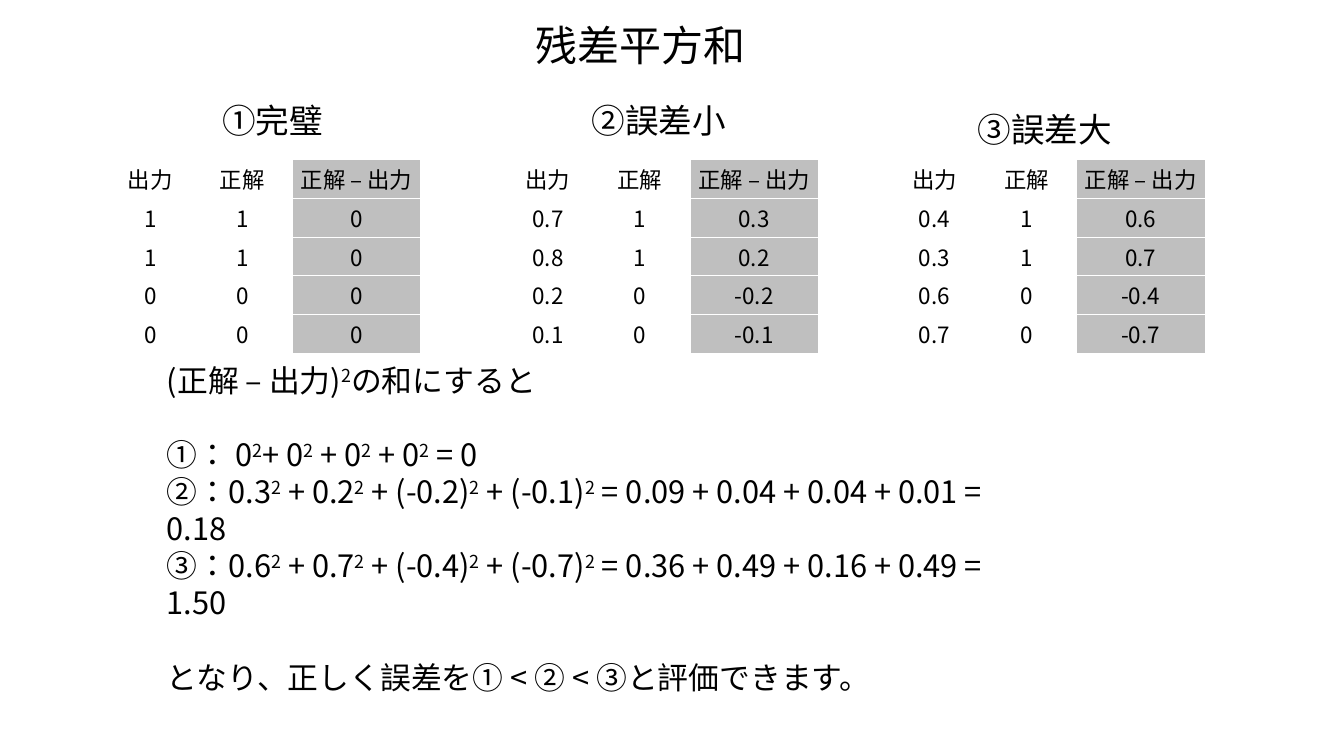
from pptx import Presentation
from pptx.dml.color import RGBColor
from pptx.enum.text import MSO_ANCHOR, MSO_AUTO_SIZE, PP_ALIGN
from pptx.oxml.ns import qn
from pptx.util import Inches, Pt

FONT = "Noto Sans CJK JP"
BLACK = RGBColor(0, 0, 0)
WHITE = RGBColor(255, 255, 255)
GREY = RGBColor(0xBF, 0xBF, 0xBF)

TITLE = "残差平方和"
HEADER = ("出力", "正解", "正解 – 出力")
ANSWERS = ("1", "1", "0", "0")
# heading, heading left and top, table left, outputs, differences
CASES = [
    ("①完璧", 4.35, 1.97, 2.15, ("1", "1", "0", "0"), ("0", "0", "0", "0")),
    ("②誤差小", 11.68, 1.97, 10.04,
     ("0.7", "0.8", "0.2", "0.1"), ("0.3", "0.2", "-0.2", "-0.1")),
    ("③誤差大", 19.34, 2.15, 17.71,
     ("0.4", "0.3", "0.6", "0.7"), ("0.6", "0.7", "-0.4", "-0.7")),
]
# text, blank lines above; ² marks a superscript 2
EXPLANATION = [
    ("(正解 – 出力)²の和にすると", 0),
    ("①： 0²+ 0² + 0² + 0² = 0", 1),
    ("②：0.3² + 0.2² + (-0.2)² + (-0.1)² = 0.09 + 0.04 + 0.04 + 0.01 = 0.18", 0),
    ("③：0.6² + 0.7² + (-0.4)² + (-0.7)² = 0.36 + 0.49 + 0.16 + 0.49 = 1.50", 0),
    ("となり、正しく誤差を① < ② < ③と評価できます。", 1),
]

COLUMN_WIDTHS = (1.67, 1.98, 2.55)
ROW_HEIGHT = 0.77
TABLE_TOP = 3.16
INSET = Inches(0.06)
LINE_PITCH = 53


def style(paragraph, size, align=PP_ALIGN.LEFT):
    paragraph.alignment = align
    font = paragraph.font
    font.size, font.name = Pt(size), FONT
    font.color.rgb = BLACK
    defaults = paragraph._p.pPr.find(qn("a:defRPr"))
    east_asian = defaults.makeelement(qn("a:ea"), {"typeface": FONT})
    defaults.find(qn("a:latin")).addnext(east_asian)


def set_insets(holder):
    holder.margin_left = holder.margin_right = INSET
    holder.margin_top = holder.margin_bottom = INSET
    holder.vertical_anchor = MSO_ANCHOR.MIDDLE


def place(shape, left, top, width, height, wrap=False):
    shape.left, shape.top = Inches(left), Inches(top)
    shape.width, shape.height = Inches(width), Inches(height)
    frame = shape.text_frame
    set_insets(frame)
    frame.auto_size = MSO_AUTO_SIZE.NONE
    frame.word_wrap = wrap
    return frame


def add_frame(slide, left, top, width, height, wrap=False):
    box = slide.shapes.add_textbox(0, 0, 0, 0)
    return place(box, left, top, width, height, wrap)


def add_squares(paragraph, text):
    """Write text, raising each ² as a superscript 2."""
    for index, part in enumerate(text.split("²")):
        if index:
            exponent = paragraph.add_run()
            exponent.text = "2"
            exponent.font._element.set("baseline", "30000")
        paragraph.add_run().text = part


def add_case_table(slide, left, rows):
    table = slide.shapes.add_table(
        len(rows), len(HEADER), Inches(left), Inches(TABLE_TOP),
        Inches(sum(COLUMN_WIDTHS)), Inches(ROW_HEIGHT * len(rows))).table
    table.first_row = table.horz_banding = False
    for column, width in zip(table.columns, COLUMN_WIDTHS):
        column.width = Inches(width)
    for r, row in enumerate(rows):
        for c, value in enumerate(row):
            cell = table.cell(r, c)
            cell.text = value
            set_insets(cell)
            cell.fill.solid()
            cell.fill.fore_color.rgb = GREY if c == len(row) - 1 else WHITE
            style(cell.text_frame.paragraphs[0], 32, PP_ALIGN.CENTER)


def main():
    prs = Presentation()
    prs.slide_width, prs.slide_height = Inches(26.67), Inches(15)
    slide = prs.slides.add_slide(prs.slide_layouts[5])

    title = place(slide.shapes.title, 10.56, 0.38, 4.32, 1.02)
    title.text = TITLE
    style(title.paragraphs[0], 60)

    for heading, left, top, table_left, outputs, differences in CASES:
        add_case_table(slide, table_left,
                       [HEADER, *zip(outputs, ANSWERS, differences)])
        frame = add_frame(slide, left, top, 3.03, 0.84)
        frame.text = heading
        style(frame.paragraphs[0], 48)

    body = add_frame(slide, 3.25, 8.09, 17.18, 4.78, wrap=True)
    for index, (text, blanks) in enumerate(EXPLANATION):
        paragraph = body.add_paragraph() if index else body.paragraphs[0]
        add_squares(paragraph, text)
        paragraph.line_spacing = Pt(LINE_PITCH)
        paragraph.space_before = Pt(LINE_PITCH * blanks)
        style(paragraph, 44)

    prs.save("out.pptx")


if __name__ == "__main__":
    main()
